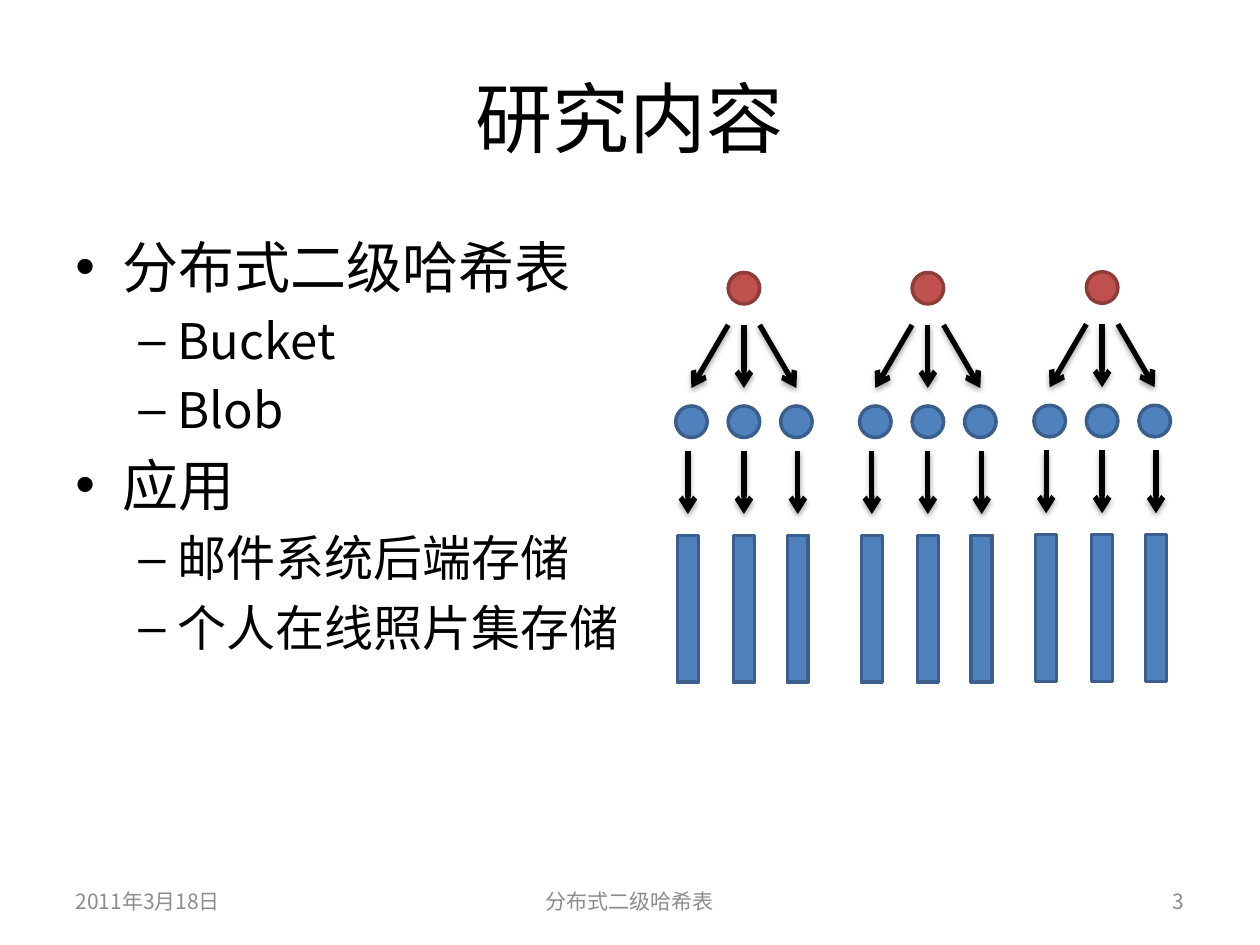
import pptx
import pptx.dml.color
import pptx.enum.shapes
import pptx.enum.text
import pptx.oxml
import pptx.oxml.ns
import pptx.util
from pptx.util import Pt

RGBColor = pptx.dml.color.RGBColor
SHAPE = pptx.enum.shapes.MSO_SHAPE
ALIGN = pptx.enum.text.PP_ALIGN
ANCHOR = pptx.enum.text.MSO_ANCHOR

BLACK = RGBColor(0x00, 0x00, 0x00)
GRAY = RGBColor(0x8C, 0x8C, 0x8C)
RED = RGBColor(0xC0, 0x50, 0x4D)
DARK_RED = RGBColor(0x8E, 0x3B, 0x39)
BLUE = RGBColor(0x4F, 0x81, 0xBD)
DARK_BLUE = RGBColor(0x3A, 0x5F, 0x8C)
FONT = "Noto Sans CJK SC"

DIAMETER = 18
BAR_WIDTH, BAR_HEIGHT = 12, 84
ARROW_LENGTH = 36
NODE_OFFSETS = (-30, 0, 30)
BAR_OFFSETS = (-32, 0, 30.8)
TREES = ((425.1, 155.7), (530.2, 155.7), (629.8, 155.3))  # center x, top

# level: size, line height, space before, left margin, hanging indent, bullet
LEVELS = (
    (32, 41.6, 3.6, 27, 27, "•"),
    (28, 36.4, 3.2, 58.5, 22.5, "–"),
)
OUTLINE = (
    (0, "分布式二级哈希表"),
    (1, "Bucket"),
    (1, "Blob"),
    (0, "应用"),
    (1, "邮件系统后端存储"),
    (1, "个人在线照片集存储"),
)

SHADOW = (
    '<a:effectLst %s><a:outerShdw blurRad="40000" dist="23000" dir="5400000" '
    'rotWithShape="0"><a:srgbClr val="000000"><a:alpha val="35000"/></a:srgbClr>'
    '</a:outerShdw></a:effectLst>' % pptx.oxml.ns.nsdecls("a")
)


def append_xml(parent, xml):
    parent.append(pptx.oxml.parse_xml(xml))


def add_box(s, x, y, w, h, anchor=ANCHOR.TOP):
    tf = s.shapes.add_textbox(Pt(x), Pt(y), Pt(w), Pt(h)).text_frame
    tf.word_wrap = True
    tf.vertical_anchor = anchor
    return tf


def write(p, text, size, color):
    r = p.add_run()
    r.text = text
    p.font.size = Pt(size)
    p.font.name = FONT
    p.font.color.rgb = color
    # East Asian text takes its typeface from a:ea
    append_xml(p.font._element,
               '<a:ea %s typeface="%s"/>' % (pptx.oxml.ns.nsdecls("a"), FONT))


def add_line_of_text(s, text, x, y, w, h, size, color, align):
    p = add_box(s, x, y, w, h, ANCHOR.MIDDLE).paragraphs[0]
    p.alignment = align
    write(p, text, size, color)


def add_outline(s, x, y, w, h):
    tf = add_box(s, x, y, w, h)
    for i, (level, text) in enumerate(OUTLINE):
        size, height, before, margin, hanging, bullet = LEVELS[level]
        p = tf.add_paragraph() if i else tf.paragraphs[0]
        p.level = level
        p.line_spacing = Pt(height)
        p.space_before = Pt(before if i else 0)
        pPr = p._p.get_or_add_pPr()
        pPr.set("marL", str(int(Pt(margin))))
        pPr.set("indent", str(-int(Pt(hanging))))
        ns = pptx.oxml.ns.nsdecls("a")
        append_xml(pPr, '<a:buFont %s typeface="Arial"/>' % ns)
        append_xml(pPr, '<a:buChar %s char="%s"/>' % (ns, bullet))
        write(p, text, size, BLACK)


def add_filled(group, kind, center_x, y, w, h, fill, line):
    sp = group.shapes.add_shape(kind, Pt(center_x - w / 2), Pt(y), Pt(w), Pt(h))
    sp.shadow.inherit = False
    sp.fill.solid()
    sp.fill.fore_color.rgb = fill
    sp.line.color.rgb = line
    sp.line.width = Pt(2)


def add_arrow(group, x1, x2, y):
    """Draw a shadowed arrow one level down, starting at height y."""
    c = group.shapes.add_connector(pptx.enum.shapes.MSO_CONNECTOR.STRAIGHT,
                                   Pt(x1), Pt(y), Pt(x2), Pt(y + ARROW_LENGTH))
    c.line.color.rgb = BLACK
    c.line.width = Pt(3)
    append_xml(c.line._get_or_add_ln(),
               '<a:tailEnd %s type="arrow"/>' % pptx.oxml.ns.nsdecls("a"))
    append_xml(c._element.spPr, SHADOW)


def add_tree(s, x, y):
    """Draw a red root, three blue nodes and the bar below each node."""
    group = s.shapes.add_group_shape()
    add_filled(group, SHAPE.OVAL, x, y, DIAMETER, DIAMETER, RED, DARK_RED)
    for node, bar in zip(NODE_OFFSETS, BAR_OFFSETS):
        add_filled(group, SHAPE.OVAL, x + node, y + 76.3, DIAMETER, DIAMETER,
                   BLUE, DARK_BLUE)
        add_arrow(group, x + node * 0.3, x + node, y + 30)
        add_arrow(group, x + bar, x + bar, y + 102)
        add_filled(group, SHAPE.RECTANGLE, x + bar, y + 150.2,
                   BAR_WIDTH, BAR_HEIGHT, BLUE, DARK_BLUE)


def main():
    prs = pptx.Presentation()
    prs.slide_width, prs.slide_height = Pt(720), Pt(540)
    s = prs.slides.add_slide(prs.slide_layouts[6])

    add_line_of_text(s, "研究内容", 36, 21.6, 648, 90, 44, BLACK, ALIGN.CENTER)
    add_outline(s, 36, 126, 648, 356.4)
    for text, x, w, align in (
        ("2011年3月18日", 36, 168, ALIGN.LEFT),
        ("分布式二级哈希表", 246, 228, ALIGN.CENTER),
        ("3", 516, 168, ALIGN.RIGHT),
    ):
        add_line_of_text(s, text, x, 500.5, w, 28.8, 12, GRAY, align)
    for x, y in TREES:
        add_tree(s, x, y)

    prs.save("out.pptx")


if __name__ == "__main__":
    main()
